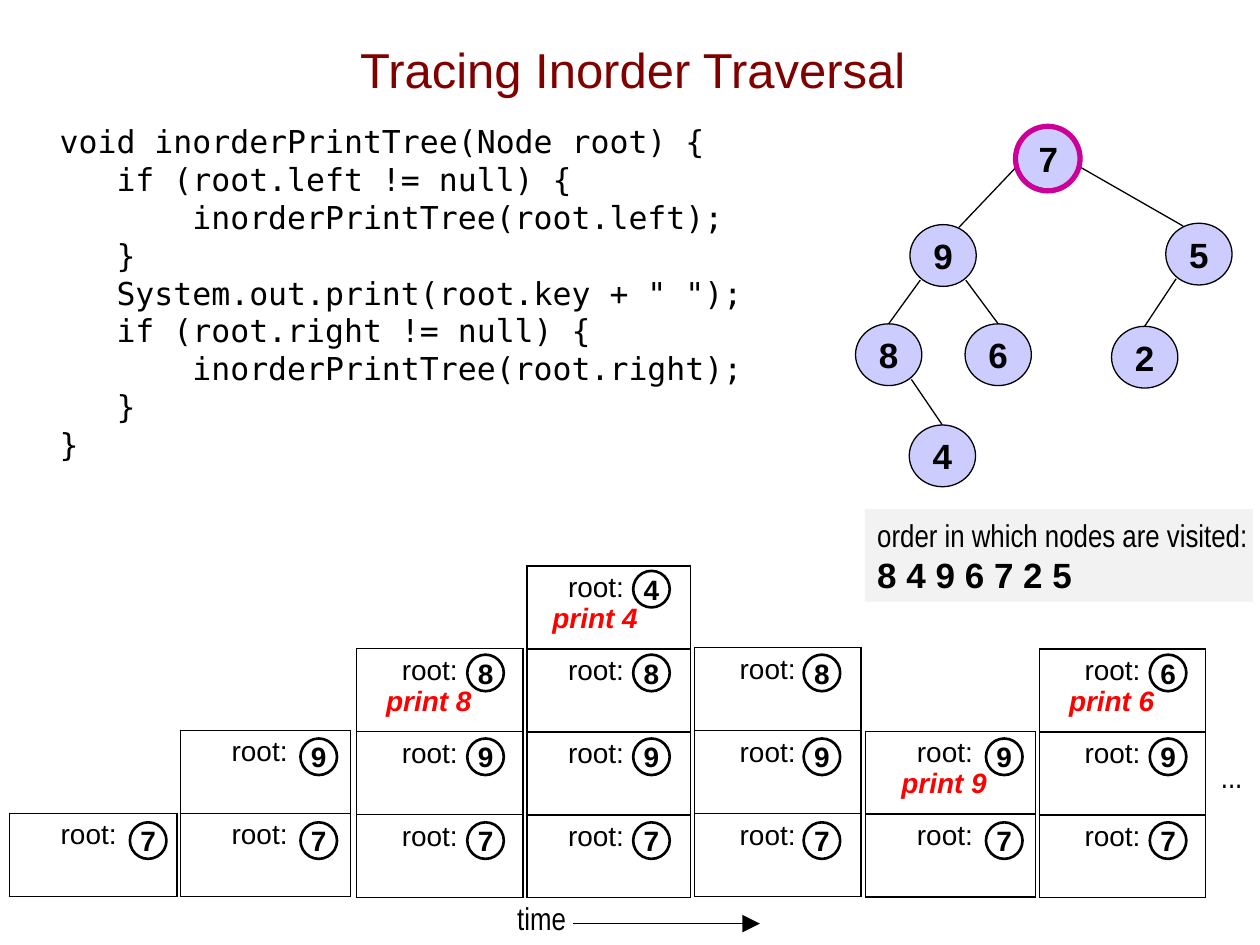
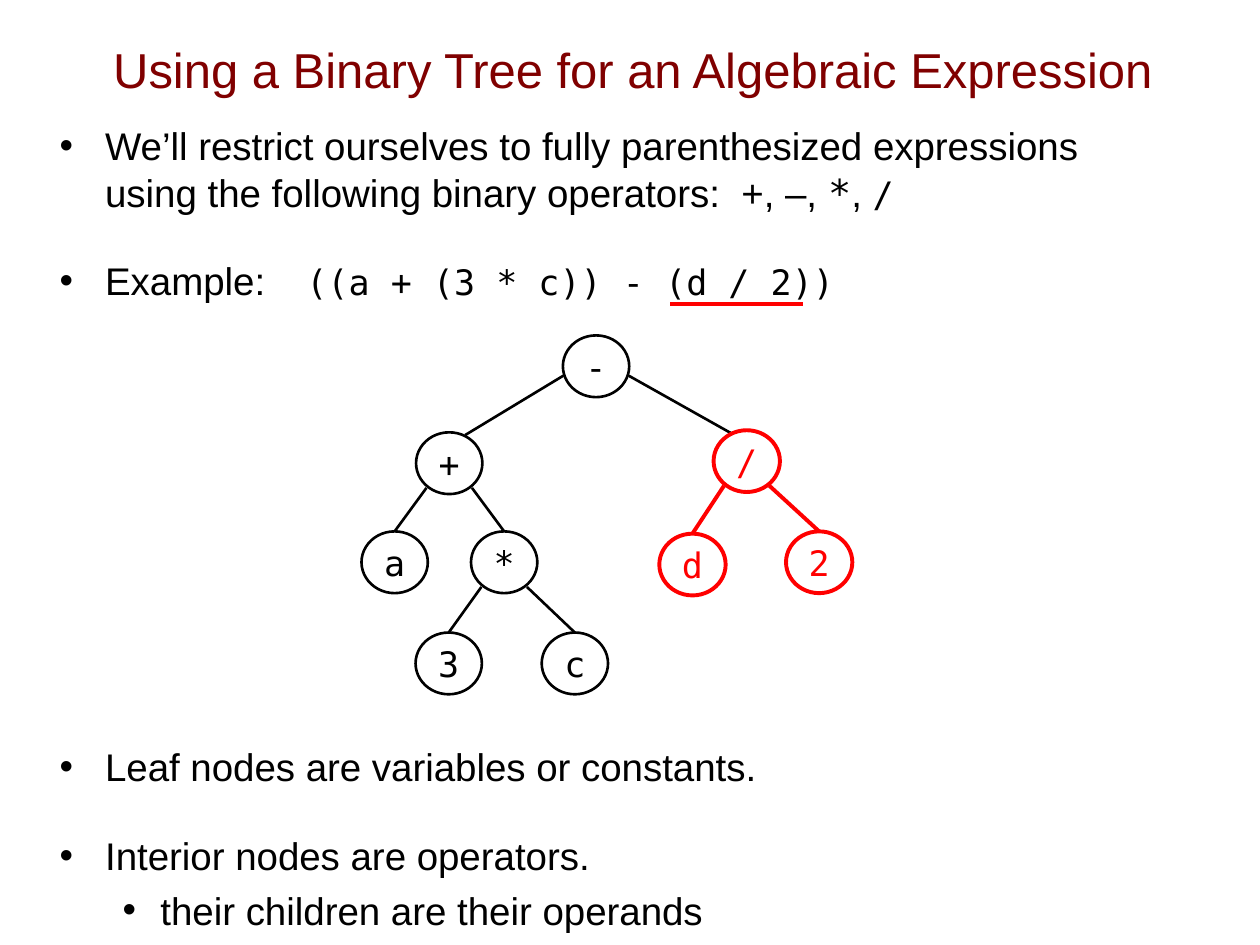
from dataclasses import dataclass
from math import copysign
from typing import Optional

from lxml import etree
from pptx import Presentation
from pptx.dml.color import RGBColor
from pptx.enum import shapes, text
from pptx.oxml import ns
from pptx.util import Pt


@dataclass(frozen=True)
class Theme:
    sans: str = "Arial"
    narrow: str = "Arial Narrow"
    mono: str = "DejaVu Sans Mono"
    black: str = "000000"
    red: str = "FF0000"
    maroon: str = "800000"
    lilac: str = "CCCCFF"
    magenta: str = "CC0099"
    grey: str = "F2F2F2"
    title: float = 28
    body: float = 22
    node: float = 20
    label: float = 18
    frame: float = 16


T = Theme()


@dataclass(frozen=True)
class NodeStyle:
    font: str
    bold: bool
    fill: Optional[str]
    color: str
    weight: float


SOLID = NodeStyle(T.sans, True, T.lilac, T.black, 0.75)
OUTLINE = NodeStyle(T.mono, False, None, T.black, 1.5)
MARKED = NodeStyle(T.mono, False, None, T.red, 2.25)
KEY = NodeStyle(T.sans, True, None, T.black, 1.5)

NODE_W, NODE_H = 37.9, 35.3
ROW_H = 47.4
KEY_SIZE, KEY_BASE, KEY_STEP = 20.9, 469.9, 47.9


# ---- Text and XML helpers ----
def rgb(value):
    return RGBColor.from_string(value)


def style(r, font, size, color=T.black, bold=False, italic=False):
    r.font.name, r.font.size = font, Pt(size)
    r.font.color.rgb = rgb(color)
    r.font.bold, r.font.italic = bold, italic


def style_paragraph(p, *args, **kwargs):
    for r in p.runs:
        style(r, *args, **kwargs)


def add_xml(parent, tag, **attrs):
    return etree.SubElement(parent, ns.qn(tag), attrs)


def indent(p, left, first=0, bullet=False, tab=None):
    ppr = p._p.get_or_add_pPr()
    ppr.set("marL", str(Pt(left)))
    ppr.set("indent", str(Pt(first)))
    if bullet:
        add_xml(ppr, "a:buFont", typeface=T.sans)
        add_xml(ppr, "a:buChar", char="•")
    if tab:
        add_xml(add_xml(ppr, "a:tabLst"), "a:tab", pos=str(Pt(tab)), algn="l")


def set_insets(obj, left, top, right, bottom):
    obj.margin_left, obj.margin_top = Pt(left), Pt(top)
    obj.margin_right, obj.margin_bottom = Pt(right), Pt(bottom)


# ---- Element builders ----
def add_slide(prs, title):
    s = prs.slides.add_slide(prs.slide_layouts[5])
    sp = s.shapes.title
    sp.left, sp.top, sp.width, sp.height = Pt(31), Pt(5.8), Pt(661), Pt(67)
    tf = sp.text_frame
    tf.text = title
    tf.vertical_anchor = text.MSO_ANCHOR.MIDDLE
    p = tf.paragraphs[0]
    p.alignment = text.PP_ALIGN.CENTER
    style_paragraph(p, T.sans, T.title, T.maroon)
    return s


def add_box(s, left, top, width, height, content="", font=T.sans,
            size=T.label, align=text.PP_ALIGN.LEFT, wrap=True):
    sp = s.shapes.add_textbox(Pt(left), Pt(top), Pt(width), Pt(height))
    tf = sp.text_frame
    tf.word_wrap = wrap
    tf.text = content
    for p in tf.paragraphs:
        p.alignment = align
        style_paragraph(p, font, size)
    return tf


def add_shape(s, kind, left, top, width, height, fill=None, line=None, weight=1):
    sp = s.shapes.add_shape(kind, Pt(left), Pt(top), Pt(width), Pt(height))
    sp.shadow.inherit = False
    if fill:
        sp.fill.solid()
        sp.fill.fore_color.rgb = rgb(fill)
    else:
        sp.fill.background()
    if line:
        sp.line.color.rgb = rgb(line)
        sp.line.width = Pt(weight)
    else:
        sp.line.fill.background()
    return sp


def add_circle(s, left, top, width, height, label, st, size):
    sp = add_shape(s, shapes.MSO_SHAPE.OVAL, left, top, width, height,
                   st.fill, st.color, st.weight)
    tf = sp.text_frame
    tf.word_wrap = False
    set_insets(tf, 0, 0, 0, 0)
    tf.vertical_anchor = text.MSO_ANCHOR.MIDDLE
    tf.text = label
    p = tf.paragraphs[0]
    p.alignment = text.PP_ALIGN.CENTER
    style_paragraph(p, st.font, size, st.color, st.bold)


def add_line(s, start, end, color=T.black, weight=0.75, arrow=False):
    points = [Pt(v) for v in (*start, *end)]
    cx = s.shapes.add_connector(shapes.MSO_CONNECTOR.STRAIGHT, *points)
    cx.line.color.rgb = rgb(color)
    cx.line.width = Pt(weight)
    if arrow:
        add_xml(cx.line._get_or_add_ln(), "a:tailEnd", type="triangle",
                w="lg", len="lg")
    add_xml(cx._element.spPr, "a:effectLst")


def add_edge(s, parent, child, st):
    """Join a node to the top of its child; wide branches leave from the side."""
    (px, py), (cx, cy) = parent, child
    side = copysign(1, cx - px)
    if abs(cx - px) > 55:
        start, end = (px + side * 18.7, py + 5.4), (cx - side * 9, cy - 16)
    else:
        start, end = (px + side * 13, py + 14.1), (cx, cy - NODE_H / 2)
    add_line(s, start, end, st.color, st.weight)


def add_tree(s, centers, edges, st, marked=""):
    def pick(key):
        return MARKED if key in marked else st

    for parent, child in edges:
        add_edge(s, centers[parent], centers[child], pick(parent))
    for key, (x, y) in centers.items():
        add_circle(s, x - NODE_W / 2, y - NODE_H / 2, NODE_W, NODE_H,
                   key, pick(key), T.node)


def border_cell(cell, sides):
    tcpr = cell._tc.get_or_add_tcPr()
    for i, side in enumerate(sides):
        ln = etree.Element(ns.qn(f"a:ln{side}"), w=str(Pt(1)))
        add_xml(add_xml(ln, "a:solidFill"), "a:srgbClr", val=T.black)
        tcpr.insert(i, ln)


def add_stack(s, left, width, bottom, inset, key_left, keys, free=2, printed=False):
    """Call stack: free rows, then frames; keys run upwards, the top may print."""
    n = len(keys) + free
    tbl = s.shapes.add_table(n, 1, Pt(left), Pt(bottom - n * ROW_H),
                             Pt(width), Pt(n * ROW_H)).table
    tbl.first_row = tbl.horz_banding = False
    for row in range(n):
        tbl.rows[row].height = Pt(ROW_H)
        cell = tbl.cell(row, 0)
        cell.fill.background()
        if row < free:
            border_cell(cell, "B" if row == free - 1 else "")
            continue
        border_cell(cell, "LRTB")
        set_insets(cell, inset, 3.6, 3.6, 3.6)
        prints = printed and row == free
        cell.text_frame.text = "root:"
        p = cell.text_frame.paragraphs[0]
        if prints:
            p.text = f"root: \vprint {keys[-1]}"
        indent(p, 13.3, 8.9)
        style_paragraph(p, T.sans, T.frame)
        if prints:
            style(p.runs[1], T.sans, T.frame, T.red, True, True)
    for i, key in enumerate(keys):
        add_circle(s, key_left, KEY_BASE - i * KEY_STEP, KEY_SIZE, KEY_SIZE,
                   key, KEY, T.frame)


def add_bullet(tf, runs, before=0, left=26, first=-26, tab=None):
    p = tf.paragraphs[0] if not tf.paragraphs[0].runs else tf.add_paragraph()
    p.space_before = Pt(before)
    indent(p, left, first, bullet=True, tab=tab)
    p.text = runs[0][0]
    style_paragraph(p, T.sans, T.body)
    for content, font, size in runs[1:]:
        r = p.add_run()
        r.text = content
        style(r, font, size)


# ---- Slides ----
CODE = """void inorderPrintTree(Node root) {
   if (root.left != null) {
       inorderPrintTree(root.left);
   }
   System.out.print(root.key + " ");
   if (root.right != null) {
       inorderPrintTree(root.right);
   }
}"""


def build_traversal(prs):
    s = add_slide(prs, "Tracing Inorder Traversal")
    add_box(s, 27, 66.4, 460, 205, CODE, T.mono)

    # Call stacks over time: left, width, bottom, inset, key left, keys, free, printed
    for stack in (
        (5.3, 95.8, 512.2, 7.2, 74.2, "7"),
        (103, 97.2, 512.2, 7.2, 171.7, "79"),
        (203.8, 95, 512.9, 3.6, 267, "798", 2, True),
        (301, 93.6, 513, 1.4, 361.8, "7984", 0, True),
        (396.9, 95, 512.3, 3.6, 459.2, "798"),
        (494.6, 97.2, 512.7, 7.2, 563.4, "79", 2, True),
        (594, 95, 513, 3.6, 657, "796", 2, True),
    ):
        add_stack(s, *stack)
    add_box(s, 687.6, 429, 32.4, 29, "...", T.narrow, align=text.PP_ALIGN.CENTER)
    add_box(s, 288, 510, 42.5, 29, "time", T.narrow,
            align=text.PP_ALIGN.RIGHT, wrap=False)
    add_line(s, (327.6, 527.8), (434.2, 527.8), arrow=True)

    # Tree with its root ringed
    centers = {"7": (599.1, 90.4), "9": (538.9, 146), "8": (507.8, 202.7),
               "6": (570.4, 202.7), "4": (538.5, 260.5), "5": (685.1, 145.2),
               "2": (654.1, 204.1)}
    add_tree(s, centers, ("79", "75", "98", "96", "84", "52"), SOLID)
    add_shape(s, shapes.MSO_SHAPE.OVAL, 580.3, 72.2, 36.9, 36.9,
              line=T.magenta, weight=3)

    # Visiting order
    sp = add_shape(s, shapes.MSO_SHAPE.RECTANGLE, 494.2, 290.9, 221.8, 53, T.grey)
    tf = sp.text_frame
    set_insets(tf, 7.2, 3.6, 1.4, 3.6)
    tf.text = "order in which nodes are visited:\n8 4 9 6 7 2 5"
    for p in tf.paragraphs:
        p.alignment = text.PP_ALIGN.LEFT
    style_paragraph(tf.paragraphs[0], T.narrow, T.label)
    style_paragraph(tf.paragraphs[1], T.sans, T.node, bold=True)


def build_expression(prs):
    s = add_slide(prs, "Using a Binary Tree for an Algebraic Expression")
    tf = add_box(s, 27, 66.4, 668, 470)
    add_bullet(tf, [("We’ll restrict ourselves to fully parenthesized expressions \v"
                     "using the following binary operators:  +, –, ",),
                    ("*", T.mono, T.body), (", ", T.sans, T.body),
                    ("/", T.mono, T.node)])
    add_bullet(tf, [("Example: \t",), ("((a + (3 * c)) - (d / 2))", T.mono, T.node)],
               24, tab=141)
    add_bullet(tf, [("Leaf nodes are variables or constants.",)], 251.7)
    add_bullet(tf, [("Interior nodes are operators.",)], 24)
    add_bullet(tf, [("their children are their operands",)], 5, 57.6, -21.6)

    # Expression tree with the highlighted subexpression
    centers = {"-": (340.6, 209.3), "+": (256.7, 264.7), "/": (426.7, 263.5),
               "a": (225.5, 321.3), "*": (288.1, 321.3), "d": (395.7, 322.6),
               "2": (468.1, 321.3), "3": (256.4, 379.1), "c": (328.5, 379.1)}
    add_tree(s, centers, ("-+", "-/", "+a", "+*", "*3", "*c", "/d", "/2"),
             OUTLINE, marked="/d2")
    add_line(s, (383, 173.5), (458.6, 173.5), MARKED.color, MARKED.weight)


def main():
    prs = Presentation()
    prs.slide_width, prs.slide_height = Pt(720), Pt(540)
    build_traversal(prs)
    build_expression(prs)
    prs.save("out.pptx")


if __name__ == "__main__":
    main()
